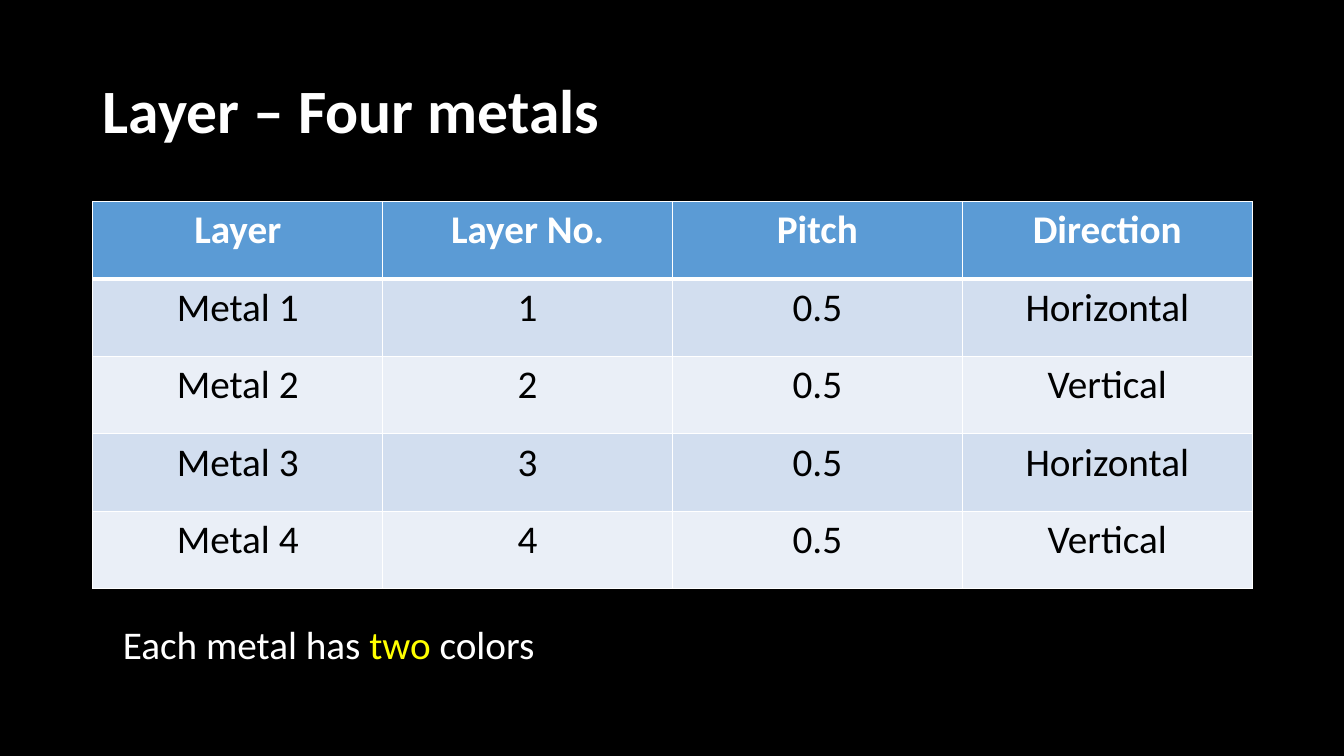
from dataclasses import dataclass

from lxml import etree
from pptx import Presentation
from pptx.dml.color import RGBColor
from pptx.enum.text import MSO_ANCHOR, MSO_AUTO_SIZE, PP_ALIGN
from pptx.oxml.ns import qn
from pptx.util import Inches, Pt

CENTER, LEFT = PP_ALIGN.CENTER, PP_ALIGN.LEFT
MIDDLE = MSO_ANCHOR.MIDDLE
GROW = MSO_AUTO_SIZE.SHAPE_TO_FIT_TEXT
TITLE_ONLY = 5
FONT = "Calibri"
WHITE, BLACK, YELLOW = "FFFFFF", "000000", "FFFF00"
HEADER_FILL = "5B9BD5"
BAND_FILLS = ("D2DEEF", "EAEFF7")
MARGIN, CONTENT_WIDTH = 0.92, 11.5
TABLE_TOP, TABLE_HEIGHT = 2, 3.84
HEADINGS = ("Layer", "Layer No.", "Pitch", "Direction")


@dataclass
class Metal:
    number: int
    direction: str
    pitch: float = 0.5

    def cells(self) -> tuple[str, ...]:
        return f"Metal {self.number}", str(self.number), str(self.pitch), self.direction


METALS = [Metal(n, "Horizontal" if n % 2 else "Vertical") for n in range(1, 5)]


def rgb(color: str) -> RGBColor:
    return RGBColor.from_string(color)


def format_run(r, size: float, color: str, bold: bool = False) -> None:
    r.font.name = FONT
    r.font.size = Pt(size)
    r.font.bold = bold
    r.font.color.rgb = rgb(color)


def add_borders(cell, top: float, bottom: float) -> None:
    """Draw white cell borders: 1 pt at the sides, given points above and below."""
    tc_pr = cell._tc.get_or_add_tcPr()
    widths = {"a:lnL": 1, "a:lnR": 1, "a:lnT": top, "a:lnB": bottom}
    for tag, width in widths.items():
        line = etree.SubElement(tc_pr, qn(tag), w=str(Pt(width)))
        fill = etree.SubElement(line, qn("a:solidFill"))
        etree.SubElement(fill, qn("a:srgbClr"), val=WHITE)


def add_title(s, text: str) -> None:
    title = s.shapes.title
    title.left, title.top = Inches(MARGIN), Inches(0.4)
    title.width, title.height = Inches(CONTENT_WIDTH), Inches(1.45)
    tf = title.text_frame
    tf.text = text
    tf.vertical_anchor = MIDDLE
    p = tf.paragraphs[0]
    p.alignment = LEFT
    p.line_spacing = 0.9
    format_run(p.runs[0], 44, WHITE, bold=True)


def add_metal_table(s) -> None:
    rows = [HEADINGS] + [metal.cells() for metal in METALS]
    table = s.shapes.add_table(
        len(rows), len(HEADINGS), Inches(MARGIN), Inches(TABLE_TOP),
        Inches(CONTENT_WIDTH), Inches(TABLE_HEIGHT)).table
    for i, row in enumerate(rows):
        is_header = i == 0
        for j, text in enumerate(row):
            cell = table.cell(i, j)
            add_borders(cell, top=3 if i == 1 else 1, bottom=3 if is_header else 1)
            cell.fill.solid()
            cell.fill.fore_color.rgb = rgb(HEADER_FILL if is_header else BAND_FILLS[(i - 1) % 2])
            cell.text_frame.text = text
            p = cell.text_frame.paragraphs[0]
            p.alignment = CENTER
            format_run(p.runs[0], 28, WHITE if is_header else BLACK, bold=is_header)


def add_note(s, parts: list[tuple[str, str]]) -> None:
    """Add one line below the table from (text, color) parts."""
    box = s.shapes.add_textbox(Inches(1.12), Inches(6.1), Inches(10.48), Inches(0.57))
    tf = box.text_frame
    tf.word_wrap = True
    tf.auto_size = GROW
    for text, color in parts:
        r = tf.paragraphs[0].add_run()
        r.text = text
        format_run(r, 28, color)


def main() -> None:
    prs = Presentation()
    prs.slide_width, prs.slide_height = Inches(13.33), Inches(7.5)
    s = prs.slides.add_slide(prs.slide_layouts[TITLE_ONLY])
    s.background.fill.solid()
    s.background.fill.fore_color.rgb = rgb(BLACK)
    add_title(s, "Layer – Four metals")
    add_metal_table(s)
    add_note(s, [("Each metal has ", WHITE), ("two", YELLOW), (" colors", WHITE)])
    prs.save("out.pptx")


if __name__ == "__main__":
    main()
